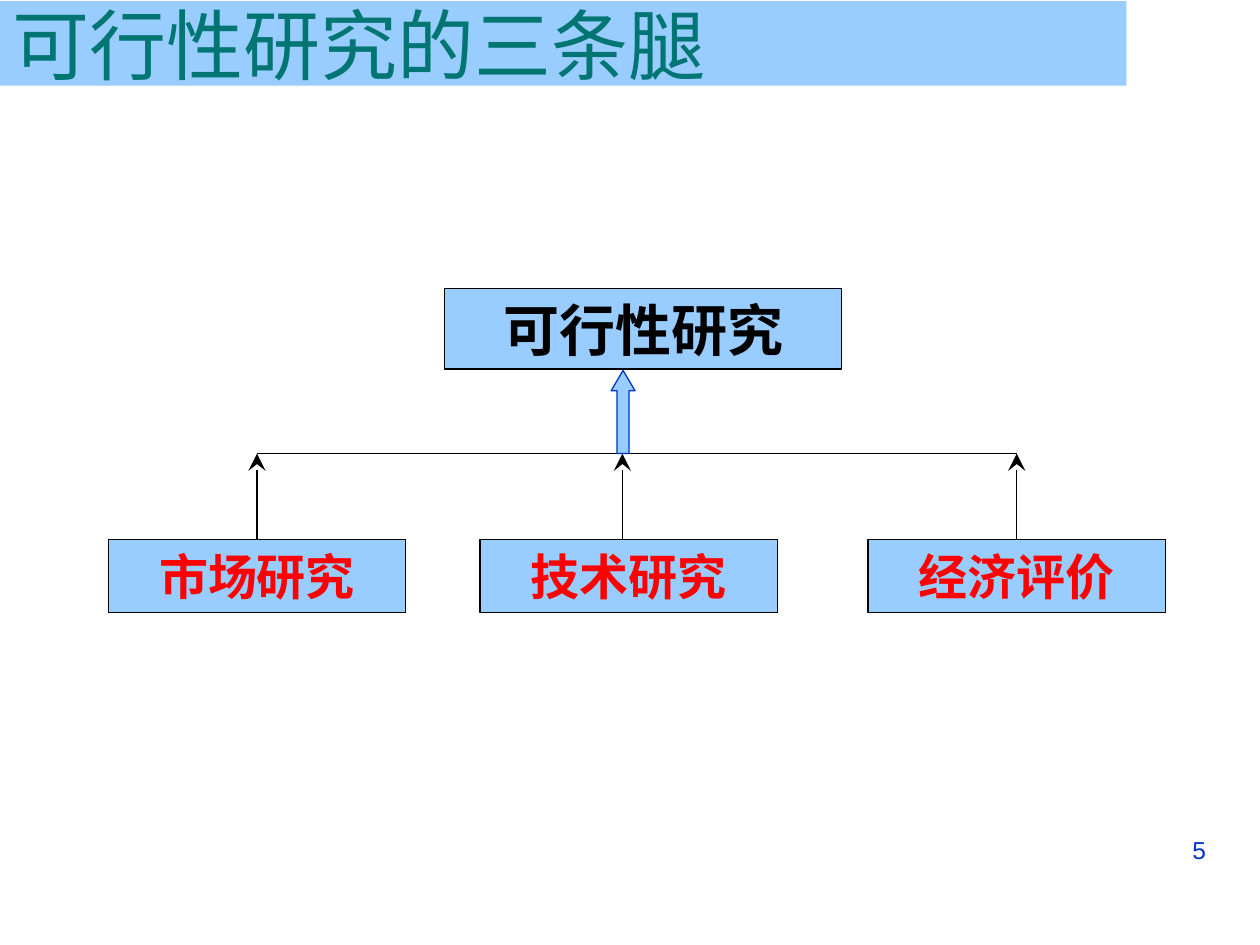
"""Builds the slide on the three legs of a feasibility study."""
from lxml import etree
from pptx import Presentation
from pptx.dml.color import RGBColor
from pptx.enum import shapes as sh, text as tx
from pptx.oxml.ns import qn
from pptx.util import Inches, Pt


def paint(item, color):
    item.solid()
    item.fore_color.rgb = RGBColor.from_string(color)


def write(frame, words, size, face, color, align, bold=False):
    frame.word_wrap = True
    para = frame.paragraphs[0]
    para.alignment = align
    run = para.add_run()
    run.text = words
    font = run.font
    font.size, font.name, font.bold = Pt(size), face, bold
    paint(font.fill, color)
    east = "Noto Sans CJK SC"
    etree.SubElement(font._element, qn("a:ea"), typeface=east)


deck = Presentation()
deck.slide_width, deck.slide_height = Inches(10), Inches(7.5)
slide = deck.slides.add_slide(deck.slide_layouts[5])
items = slide.shapes
sky, blue, black, red = "99CCFF", "0033CC", "000000", "FF0000"
sans, hei = "Arial", "Noto Sans CJK SC"
align = tx.PP_ALIGN

title = items.title
title.left, title.top = Inches(0), Inches(0.01)
title.width, title.height = Inches(8.94), Inches(0.67)
paint(title.fill, sky)
title.text_frame.vertical_anchor = tx.MSO_ANCHOR.MIDDLE
title.text_frame.auto_size = tx.MSO_AUTO_SIZE.NONE
write(title.text_frame, "可行性研究的三条腿", 44, sans, "007572", align.LEFT)

page = items.add_textbox(Inches(7.17), Inches(6.58), Inches(2.5), Inches(0.52))
write(page.text_frame, "5", 14, sans, blue, align.RIGHT)

boxes = [
    ("可行性研究", 3.53, 2.29, 3.15, 0.64, 32, black),
    ("市场研究", 0.86, 4.28, 2.36, 0.58, 28, red),
    ("技术研究", 3.81, 4.28, 2.36, 0.58, 28, red),
    ("经济评价", 6.89, 4.28, 2.36, 0.58, 28, red),
]
for words, left, top, wide, high, size, color in boxes:
    box = items.add_shape(sh.MSO_SHAPE.RECTANGLE, Inches(left), Inches(top),
                          Inches(wide), Inches(high))
    box.shadow.inherit = False
    paint(box.fill, sky)
    paint(box.line.fill, black)
    box.line.width = Pt(0.75)
    box.text_frame.vertical_anchor = tx.MSO_ANCHOR.MIDDLE
    write(box.text_frame, words, size, hei, color, align.CENTER, True)

stems = [2.04, 4.94, 8.07]
bar, base = 3.6, 4.28
lines = [(stems[0], bar, stems[-1], False)] + [(x, base, x, True) for x in stems]
for x, y, end, tip in lines:
    line = items.add_connector(sh.MSO_CONNECTOR.STRAIGHT, Inches(x), Inches(y),
                               Inches(end), Inches(bar))
    paint(line.line.fill, black)
    line.line.width = Pt(0.75)
    if tip:
        etree.SubElement(line.line._get_or_add_ln(), qn("a:tailEnd"),
                         type="stealth", w="lg", len="lg")
    etree.SubElement(line._element.spPr, qn("a:effectLst"))

arrow = items.add_shape(sh.MSO_SHAPE.UP_ARROW, Inches(4.85), Inches(2.94),
                        Inches(0.19), Inches(0.66))
arrow.adjustments[0], arrow.adjustments[1] = 0.5, 0.85
arrow.shadow.inherit = False
paint(arrow.fill, sky)
paint(arrow.line.fill, blue)
arrow.line.width = Pt(0.75)

deck.save("out.pptx")
